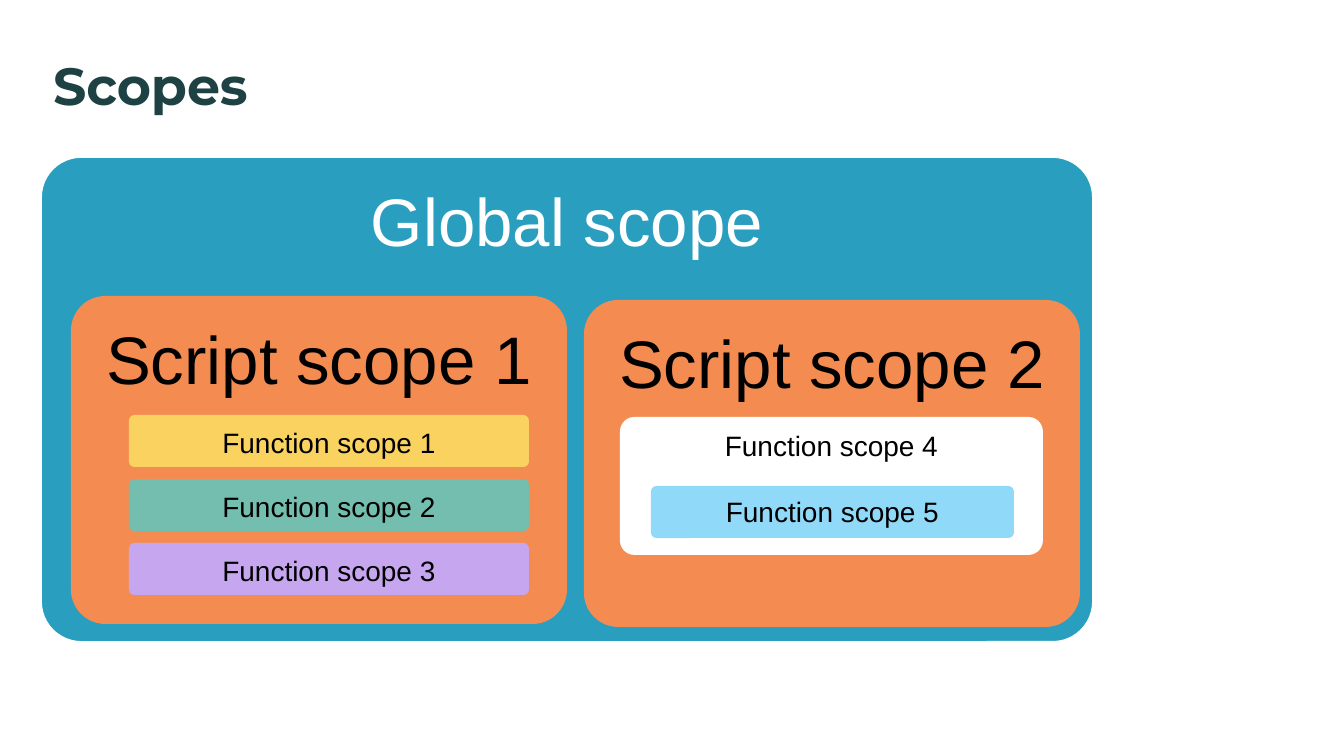
from pptx import Presentation
from pptx.dml.color import RGBColor
from pptx.enum.shapes import MSO_SHAPE
from pptx.enum.text import MSO_ANCHOR, PP_ALIGN
from pptx.util import Emu, Pt

ROUNDED = MSO_SHAPE.ROUNDED_RECTANGLE
TOP = MSO_ANCHOR.TOP
CENTER = PP_ALIGN.CENTER

PX = 914400 / 134.4
PAGE_WIDTH, PAGE_HEIGHT = 1344, 756

WHITE = RGBColor(0xFF, 0xFF, 0xFF)
BLACK = RGBColor(0x00, 0x00, 0x00)
DARK_TEAL = RGBColor(0x1E, 0x41, 0x43)
BLUE = RGBColor(0x29, 0x9E, 0xBF)
ORANGE = RGBColor(0xF4, 0x8C, 0x52)
YELLOW = RGBColor(0xFA, 0xD2, 0x60)
GREEN = RGBColor(0x74, 0xBE, 0xB0)
PURPLE = RGBColor(0xC7, 0xA6, 0xF0)
LIGHT_BLUE = RGBColor(0x90, 0xD9, 0xF8)

BAR_HEIGHT = 52
BAR_PITCH = 64


def px(value):
    return Emu(round(value * PX))


def write(shape, text, font_name, size, color, margins):
    """Put one line of text at the top of a shape; margins are side and top."""
    side, top = margins
    frame = shape.text_frame
    frame.word_wrap = True
    frame.vertical_anchor = TOP
    frame.margin_left = frame.margin_right = px(side)
    frame.margin_top = frame.margin_bottom = px(top)
    para = frame.paragraphs[0]
    para.text = text
    para.font.name = font_name
    para.font.size = Pt(size)
    para.font.color.rgb = color
    return para


def add_scope(page, box, text, fill, size, margins, color=BLACK, corner=0.105):
    """Draw a rounded panel with a centred heading."""
    panel = page.shapes.add_shape(ROUNDED, *map(px, box))
    panel.shadow.inherit = False
    panel.adjustments[0] = corner
    panel.fill.solid()
    panel.fill.fore_color.rgb = fill
    panel.line.fill.background()
    para = write(panel, text, "Arial", size, color, margins)
    para.alignment = CENTER
    para.line_spacing = 0.9
    return panel


def add_title(page, box):
    title = page.shapes.add_textbox(*map(px, box))
    para = write(title, "Scopes", "Montserrat", 28, DARK_TEAL, (13, 13))
    para.font.bold = True


def add_first_script(page, box):
    left, top, width, height = box
    add_scope(page, box, "Script scope 1", ORANGE, 36, (20, 20))
    for index, fill in enumerate((YELLOW, GREEN, PURPLE)):
        bar = (left + 58, top + 119 + index * BAR_PITCH, 400, BAR_HEIGHT)
        add_scope(page, bar, f"Function scope {index + 1}", fill, 15, (11, 13))


def add_second_script(page, box):
    left, top, width, height = box
    add_scope(page, box, "Script scope 2", ORANGE, 36, (20, 20))
    outer = (left + 36, top + 117, 423, 138)
    inner = (outer[0] + 31, outer[1] + 69, 363, BAR_HEIGHT)
    add_scope(page, outer, "Function scope 4", WHITE, 15, (11, 11))
    add_scope(page, inner, "Function scope 5", LIGHT_BLUE, 15, (11, 11))


def add_global_scope(page, box):
    left, top, width, height = box
    panel = add_scope(page, box, "Global scope", BLUE, 36, (20, 20),
                      color=WHITE, corner=0.085)
    panel.line.color.rgb = WHITE
    panel.line.width = Pt(2)
    add_first_script(page, (left + 31, top + 140, 496, 328))
    add_second_script(page, (left + 544, top + 144, 496, 327))


def main():
    deck = Presentation()
    deck.slide_width, deck.slide_height = px(PAGE_WIDTH), px(PAGE_HEIGHT)
    page = deck.slides.add_slide(deck.slide_layouts[6])
    add_title(page, (40, 40, 1269, 106))
    add_global_scope(page, (40, 156, 1054, 487))
    deck.save("out.pptx")


if __name__ == "__main__":
    main()
